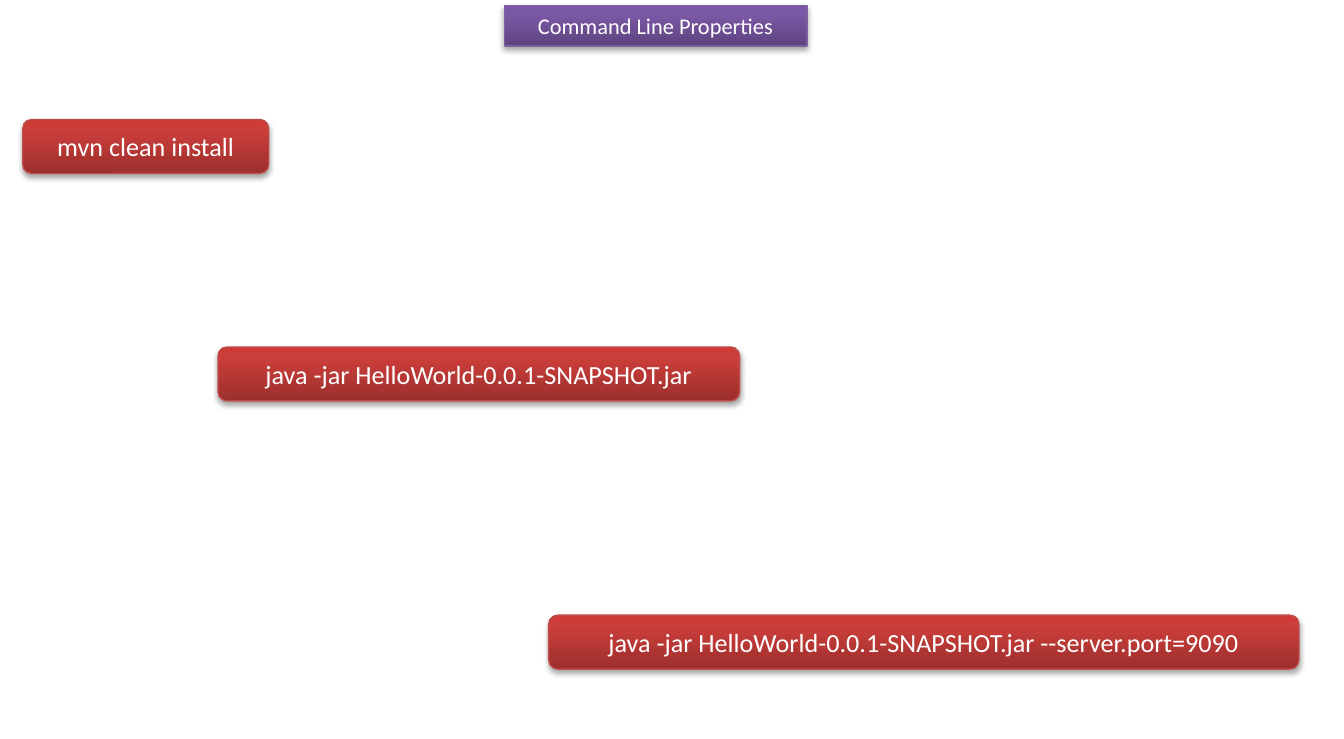
"""Build the slide on command line properties."""
from copy import deepcopy

from lxml.etree import SubElement
from pptx import Presentation
from pptx.dml.color import RGBColor
from pptx.enum.shapes import MSO_SHAPE as Shape
from pptx.enum.text import MSO_ANCHOR as Anchor, MSO_AUTO_SIZE as AutoSize, PP_ALIGN as Align
from pptx.oxml.ns import qn
from pptx.util import Cm, Pt

PURPLE = ("5F4480", "7B58A6", "7C57A8", "7D60A0")
RED = ("9C2F2D", "CB3E3A", "CE3B37", "BF4C48")


def rgb(value):
    return RGBColor.from_string(value)


class Deck:
    font = "Calibri"
    ink = "FFFFFF"

    def __init__(self, slide):
        self.slide = slide

    def paint(self, shape, palette):
        *tones, edge = palette
        shape.fill.gradient()
        shape.fill.gradient_angle = 90
        stops = shape._element.spPr.find(qn("a:gradFill")).find(qn("a:gsLst"))
        stops.append(deepcopy(stops[-1]))
        for stop, tone, position in zip(shape.fill.gradient_stops, tones, (0, 0.8, 1)):
            stop.color.rgb = rgb(tone)
            stop.position = position
        shape.line.color.rgb = rgb(edge)
        shape.line.width = Pt(0.75)

    def cast_shadow(self, shape):
        shape.shadow.inherit = False
        effects = shape._element.spPr.find(qn("a:effectLst"))
        shadow = SubElement(effects, qn("a:outerShdw"), blurRad=str(Pt(3.1)),
                            dist=str(Pt(1.8)), dir="5400000", rotWithShape="0")
        color = SubElement(shadow, qn("a:srgbClr"), val="000000")
        SubElement(color, qn("a:alpha"), val="35000")

    def box(self, kind, text, left, top, width, height, palette, size, anchor):
        shape = self.slide.shapes.add_shape(kind, Cm(left), Cm(top), Cm(width), Cm(height))
        self.paint(shape, palette)
        self.cast_shadow(shape)
        frame = shape.text_frame
        frame.word_wrap = True
        frame.vertical_anchor = anchor
        paragraph = frame.paragraphs[0]
        paragraph.alignment = Align.CENTER
        run = paragraph.add_run()
        run.text = text
        run.font.name = self.font
        run.font.size = Pt(size)
        run.font.color.rgb = rgb(self.ink)
        return shape

    def title(self, text, left, top, width):
        heading = self.box(Shape.RECTANGLE, text, left, top, width, 0.77, PURPLE, 12, Anchor.TOP)
        heading.text_frame.auto_size = AutoSize.SHAPE_TO_FIT_TEXT

    def command(self, text, left, top, width):
        self.box(Shape.ROUNDED_RECTANGLE, text, left, top, width, 1.02, RED, 14, Anchor.MIDDLE)


def main():
    presentation = Presentation()
    presentation.slide_width, presentation.slide_height = Cm(25.4), Cm(13.97)
    deck = Deck(presentation.slides.add_slide(presentation.slide_layouts[6]))
    run_jar = "java -jar HelloWorld-0.0.1-SNAPSHOT.jar"
    deck.title("Command Line Properties", 9.53, 0.1, 5.72)
    deck.command("mvn clean install", 0.43, 2.26, 4.65)
    deck.command(run_jar, 4.12, 6.56, 9.86)
    deck.command(f"{run_jar} --server.port=9090", 10.37, 11.63, 14.18)
    presentation.save("out.pptx")


if __name__ == "__main__":
    main()
